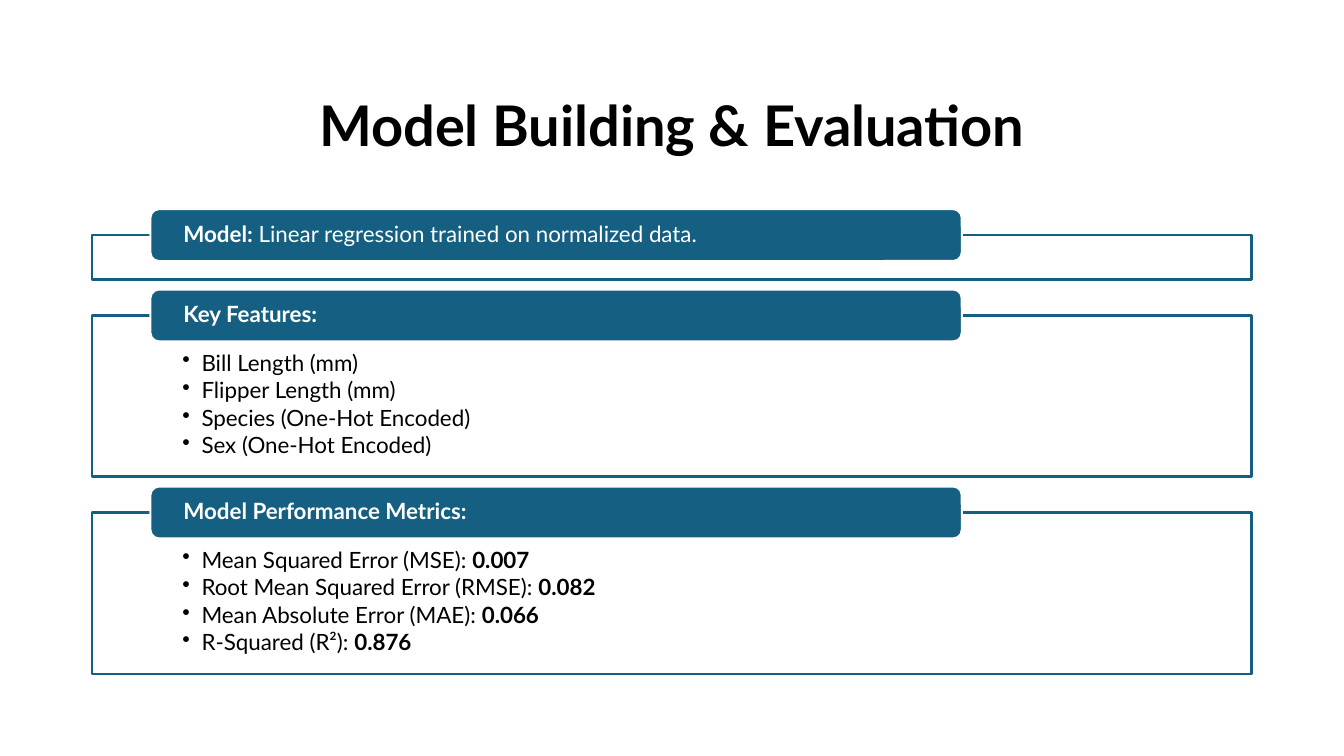
import pptx
import pptx.util
import pptx.dml.color
import pptx.enum.shapes
import pptx.enum.text
import pptx.oxml
import pptx.oxml.ns
import lxml.etree

Cm = pptx.util.Cm
Pt = pptx.util.Pt
BLUE, WHITE, BLACK = "156082", "FFFFFF", "000000"


def color(value):
    return pptx.dml.color.RGBColor.from_string(value)


def add_panel(preset, left, top, width, height, fill, line, margins, anchor):
    shape = slide.shapes.add_shape(preset, Cm(left), Cm(top), Cm(width), Cm(height))
    shape.shadow.inherit = False
    shape.fill.solid()
    shape.fill.fore_color.rgb = color(fill)
    shape.line.color.rgb = color(line)
    shape.line.width = Pt(1.5)
    frame = shape.text_frame
    frame.word_wrap = True
    frame.vertical_anchor = anchor
    side, frame.margin_top, frame.margin_bottom = [Cm(margin) for margin in margins]
    frame.margin_left = frame.margin_right = side
    return shape


presentation = pptx.Presentation()
presentation.slide_width = Cm(33.87)
presentation.slide_height = Cm(19.05)
slide = presentation.slides.add_slide(presentation.slide_layouts[5])

title = slide.shapes.title
title.left, title.top, title.width, title.height = Cm(2.33), Cm(1.4), Cm(29.21), Cm(3.68)
title.text_frame.text = "Model Building & Evaluation"
title.text_frame.vertical_anchor = pptx.enum.text.MSO_ANCHOR.MIDDLE
heading = title.text_frame.paragraphs[0]
heading.alignment = pptx.enum.text.PP_ALIGN.CENTER
heading.line_spacing = 0.9
heading.font.name = "Lato"
heading.font.size = Pt(40)
heading.font.bold = True
heading.font.color.rgb = color(BLACK)

sections = [
    ("Model:", " Linear regression trained on normalized data.", 1.12, []),
    ("Key Features:", "", 4.06, [
        ("Bill Length (mm)", ""),
        ("Flipper Length (mm)", ""),
        ("Species (One-Hot Encoded)", ""),
        ("Sex (One-Hot Encoded)", ""),
    ]),
    ("Model Performance Metrics:", "", 4.06, [
        ("Mean Squared Error (MSE): ", "0.007"),
        ("Root Mean Squared Error (RMSE): ", "0.082"),
        ("Mean Absolute Error (MAE): ", "0.066"),
        ("R-Squared (R²): ", "0.876"),
    ]),
]
label_height = 1.31
gap = 0.25
label_top = 5.27

for label, detail, box_height, items in sections:
    box_top = label_top + label_height / 2
    box = add_panel(pptx.enum.shapes.MSO_SHAPE.RECTANGLE, 2.33, box_top, 29.21, box_height,
                    WHITE, BLUE, (2.27, 0.92, 0.29), pptx.enum.text.MSO_ANCHOR.TOP)
    fill_color = box.fill._xPr.find(".//" + pptx.oxml.ns.qn("a:srgbClr"))
    lxml.etree.SubElement(fill_color, pptx.oxml.ns.qn("a:alpha"), val="90000")
    tab = add_panel(pptx.enum.shapes.MSO_SHAPE.ROUNDED_RECTANGLE, 3.79, label_top, 20.45, label_height,
                    BLUE, WHITE, (0.77, 0, 0), pptx.enum.text.MSO_ANCHOR.MIDDLE)

    lines = [(tab, label, detail, True)] + [(box, text, value, False) for text, value in items]
    for index, (shape, first, second, is_label) in enumerate(lines):
        frame = shape.text_frame
        paragraph = frame.paragraphs[0] if index < 2 else frame.add_paragraph()
        paragraph.alignment = pptx.enum.text.PP_ALIGN.LEFT
        paragraph.line_spacing = 0.9
        paragraph.font.name = "Lato"
        paragraph.font.size = Pt(16)
        paragraph.font.color.rgb = color(WHITE if is_label else BLACK)
        for text, bold in ((first, is_label), (second, not is_label)):
            if text:
                run = paragraph.add_run()
                run.text = text
                run.font.bold = bold
        if not is_label:
            paragraph.space_after = Pt(2.4)
            properties = paragraph._p.get_or_add_pPr()
            properties.set("marL", str(Cm(0.48)))
            properties.set("indent", str(Cm(-0.48)))
            bullet = pptx.oxml.parse_xml(
                '<a:buChar xmlns:a="http://schemas.openxmlformats.org/drawingml/2006/main" char="•"/>')
            properties.find(pptx.oxml.ns.qn("a:defRPr")).addprevious(bullet)

    label_top = box_top + box_height + gap

presentation.save("out.pptx")
